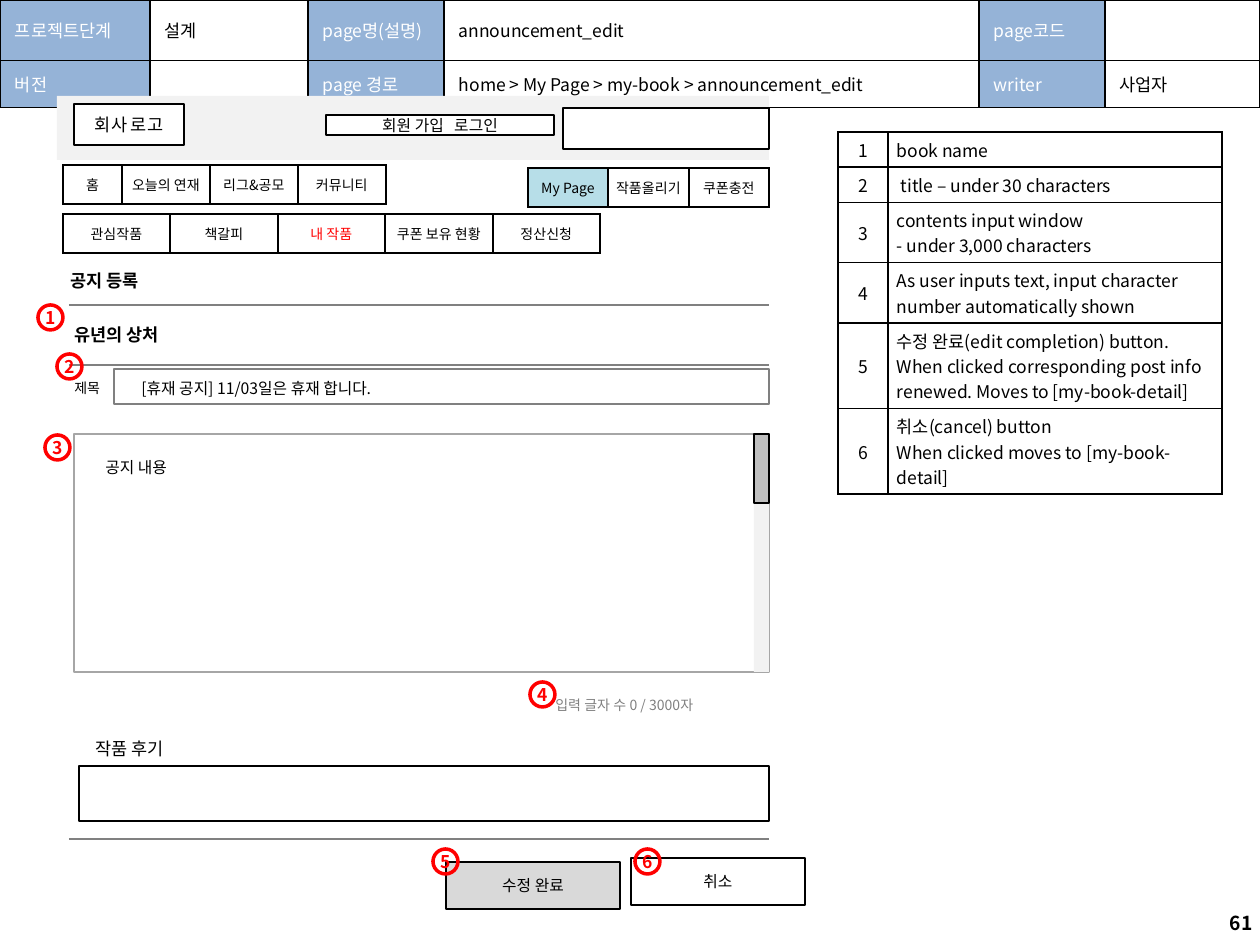
import lxml.etree
import pptx
import pptx.dml.color
import pptx.enum.shapes
import pptx.enum.text
import pptx.oxml.ns
import pptx.util

RGB = pptx.dml.color.RGBColor
SHAPE = pptx.enum.shapes.MSO_SHAPE
ALIGN = pptx.enum.text.PP_ALIGN
MIDDLE = pptx.enum.text.MSO_ANCHOR.MIDDLE
TOP = pptx.enum.text.MSO_ANCHOR.TOP
FIT = pptx.enum.text.MSO_AUTO_SIZE.SHAPE_TO_FIT_TEXT
qn = pptx.oxml.ns.qn

BLACK = RGB(0x00, 0x00, 0x00)
WHITE = RGB(0xFF, 0xFF, 0xFF)
RED = RGB(0xFF, 0x00, 0x00)
HEADER_BLUE = RGB(0x95, 0xB3, 0xD7)
ACTIVE_TEAL = RGB(0xB7, 0xDE, 0xE8)
PALE_GRAY = RGB(0xF2, 0xF2, 0xF2)
BUTTON_GRAY = RGB(0xD9, 0xD9, 0xD9)
THUMB_GRAY = RGB(0xBF, 0xBF, 0xBF)
FRAME_GRAY = RGB(0xA6, 0xA6, 0xA6)
RULE_GRAY = RGB(0x80, 0x80, 0x80)

FONT = "Noto Sans CJK KR"
SCALE = 914400 / 126


def px(length):
    return pptx.util.Emu(round(length * SCALE))


def add_run(paragraph, text, size, color=BLACK, bold=False):
    run = paragraph.add_run()
    run.text = text
    run.font.size = pptx.util.Pt(size)
    run.font.name = FONT
    run.font.bold = bold
    run.font.color.rgb = color
    east_asian = lxml.etree.SubElement(run.font._element, qn("a:ea"))
    east_asian.set("typeface", FONT)
    return run


def write(frame, text, size, color=BLACK, bold=False, align=ALIGN.LEFT, spacing=None):
    for index, line in enumerate(text.split("\n")):
        paragraph = frame.add_paragraph() if index else frame.paragraphs[0]
        paragraph.alignment = align
        if spacing:
            paragraph.line_spacing = spacing
        if line:
            add_run(paragraph, line, size, color, bold)
        else:
            end = lxml.etree.SubElement(paragraph._p, qn("a:endParaRPr"))
            end.set("sz", str(size * 100))


def add_box(slide, left, top, width, height, fill=None, line=BLACK, weight=1,
            preset=SHAPE.RECTANGLE):
    box = slide.shapes.add_shape(preset, px(left), px(top), px(width), px(height))
    box.shadow.inherit = False
    if fill is None:
        box.fill.background()
    else:
        box.fill.solid()
        box.fill.fore_color.rgb = fill
    if line is None:
        box.line.fill.background()
    else:
        box.line.color.rgb = line
        box.line.width = pptx.util.Pt(weight)
    box.text_frame.vertical_anchor = MIDDLE
    return box


def add_label(slide, left, top, width, height, text, size, color=BLACK, bold=False,
              align=ALIGN.LEFT, spacing=None, wrap=True, margins=None):
    frame = slide.shapes.add_textbox(px(left), px(top), px(width), px(height)).text_frame
    frame.word_wrap = wrap
    frame.vertical_anchor = TOP if spacing else MIDDLE
    if spacing:
        frame.auto_size = FIT
    if margins:
        frame.margin_left = frame.margin_right = px(margins[0])
        frame.margin_top = frame.margin_bottom = px(margins[1])
    write(frame, text, size, color, bold, align, spacing)


def add_rule(slide, left, top, width):
    rule = slide.shapes.add_connector(
        pptx.enum.shapes.MSO_CONNECTOR.STRAIGHT, px(left), px(top), px(left + width), px(top))
    rule.line.color.rgb = RULE_GRAY
    rule.line.width = pptx.util.Pt(1.5)
    lxml.etree.SubElement(rule._element.spPr, qn("a:effectLst"))


def add_marker(slide, left, top, number):
    frame = add_box(slide, left, top, 25, 25, None, RED, 2, SHAPE.OVAL).text_frame
    frame.margin_left = frame.margin_right = 0
    frame.margin_top = frame.margin_bottom = 0
    frame.word_wrap = False
    write(frame, str(number), 10, RED, True, ALIGN.CENTER)


def add_cell_borders(cell):
    properties = cell._tc.get_or_add_tcPr()
    for side in ("a:lnL", "a:lnR", "a:lnT", "a:lnB"):
        border = lxml.etree.SubElement(properties, qn(side), w="12700")
        fill = lxml.etree.SubElement(border, qn("a:solidFill"))
        lxml.etree.SubElement(fill, qn("a:srgbClr"), val=str(BLACK))


def add_grid(slide, left, top, widths, heights, rows, size, margins, style):
    grid = slide.shapes.add_table(len(heights), len(widths), px(left), px(top),
                                  px(sum(widths)), px(sum(heights))).table
    grid.first_row = grid.horz_banding = False
    for column, width in zip(grid.columns, widths):
        column.width = px(width)
    for row, height in zip(grid.rows, heights):
        row.height = px(height)
    for r, texts in enumerate(rows):
        for c, text in enumerate(texts):
            cell = grid.cell(r, c)
            fill, color, align = style(c)
            add_cell_borders(cell)
            if fill is None:
                cell.fill.background()
            else:
                cell.fill.solid()
                cell.fill.fore_color.rgb = fill
            cell.vertical_anchor = MIDDLE
            cell.margin_left = cell.margin_right = px(margins[0])
            cell.margin_top = cell.margin_bottom = px(margins[1])
            write(cell.text_frame, text, size, color, align=align)


def page_header(slide, left, top):
    rows = [
        ["프로젝트단계", "설계", "page명(설명)", "announcement_edit", "page코드", ""],
        ["버전", "", "page 경로", "home > My Page > my-book > announcement_edit",
         "writer", "사업자"],
    ]
    add_grid(slide, left, top, [150, 158, 136, 535, 126, 155], [48, 47], rows, 10, (15, 5),
             lambda c: (None, BLACK, ALIGN.LEFT) if c % 2 else (HEADER_BLUE, WHITE, ALIGN.LEFT))


def notes(slide, left, top):
    descriptions = [
        "book name",
        " title – under 30 characters",
        "contents input window\n- under 3,000 characters",
        "As user inputs text, input character number automatically shown",
        "수정 완료(edit completion) button.\n"
        "When clicked corresponding post info renewed. Moves to [my-book-detail]",
        "취소(cancel) button\nWhen clicked moves to [my-book-detail]",
    ]
    rows = [[str(number), text] for number, text in enumerate(descriptions, 1)]
    add_grid(slide, left, top, [50, 334], [34] * len(rows), rows, 10, (9, 5),
             lambda c: (None, BLACK, ALIGN.LEFT if c else ALIGN.CENTER))


def site_header(slide, left, top, width, height):
    add_box(slide, left, top, width, height, PALE_GRAY, None)
    logo = add_box(slide, left + 17, top + 8, 110, 41, WHITE)
    write(logo.text_frame, "회사 로고", 10, align=ALIGN.CENTER)
    account = add_box(slide, left + 269, top + 19, 228, 20, WHITE).text_frame.paragraphs[0]
    account.alignment = ALIGN.CENTER
    add_run(account, "회원 가입", 9)
    gap = add_run(account, " ", 9)
    gap.font._element.set("spc", "400")
    add_run(account, "로그인", 9)
    add_box(slide, left + 506, top + 12, 206, 41, WHITE)


def menu(slide, left, top, widths, names, active=None, fill=WHITE, color=BLACK):
    add_grid(slide, left, top, widths, [39], [names], 8, (5, 6),
             lambda c: (fill, color, ALIGN.CENTER) if c == active
             else (WHITE, BLACK, ALIGN.CENTER))


def notice_form(slide, left, top, width):
    for rule_top in (39, 99, 573):
        add_rule(slide, left, top + rule_top, width)
    for text, x, y in (("공지 등록", -9, 0), ("유년의 상처", -5, 54)):
        add_label(slide, left + x, top + y, 270, 29, text, 10, bold=True, margins=(10, 5))
    add_box(slide, left + 45, top + 103, 655, 35, None, RULE_GRAY)
    add_box(slide, left + 5, top + 168, 695, 238, WHITE, FRAME_GRAY)
    add_box(slide, left + 685, top + 168, 15, 238, PALE_GRAY, None)
    add_box(slide, left + 685, top + 168, 15, 69, THUMB_GRAY)
    for x, y, w, h, text, size in (
        (-7, 99, 52, 35, "제목", 8),
        (60, 97, 270, 42, "[휴재 공지] 11/03일은 휴재 합니다.", 9),
        (24, 176, 89, 38, "공지 내용", 9),
    ):
        add_label(slide, left + x, top + y, w, h, text, size, spacing=1.5, wrap=False)
    add_label(slide, left + 474, top + 416, 224, 35, "입력 글자 수 0 / 3000자", 8,
              RULE_GRAY, spacing=1.5)
    add_label(slide, left + 14, top + 465, 151, 35, "작품 후기", 10)
    add_box(slide, left + 10, top + 500, 690, 55)
    for number, (x, y) in enumerate([(-31, 39), (-12, 88), (-24, 169), (461, 416)], 1):
        add_marker(slide, left + x, top + y, number)


def form_buttons(slide, left, top):
    for x, y, fill, text in ((0, 4, BUTTON_GRAY, "수정 완료"), (185, 0, WHITE, "취소")):
        button = add_box(slide, left + x, top + y, 174, 47, fill)
        write(button.text_frame, text, 9, align=ALIGN.CENTER)
    add_marker(slide, left - 13, top - 9, 5)
    add_marker(slide, left + 189, top - 9, 6)


def main():
    deck = pptx.Presentation()
    deck.slide_width, deck.slide_height = px(1260), px(945)
    slide = deck.slides.add_slide(deck.slide_layouts[6])
    page_header(slide, 0, 0)
    notes(slide, 838, 132)
    site_header(slide, 57, 96, 712, 64)
    menu(slide, 63, 165, [59, 88, 88, 88], ["홈", "오늘의 연재", "리그&공모", "커뮤니티"])
    menu(slide, 528, 168, [80, 81, 80], ["My Page", "작품올리기", "쿠폰충전"], 0, ACTIVE_TEAL)
    menu(slide, 63, 214, [107, 108, 107, 108, 107],
         ["관심작품", "책갈피", "내 작품", "쿠폰 보유 현황", "정산신청"], 2, color=RED)
    notice_form(slide, 69, 266, 700)
    form_buttons(slide, 446, 858)
    add_label(slide, 971, 898, 294, 50, "61", 11, bold=True, align=ALIGN.RIGHT)
    deck.save("out.pptx")


if __name__ == "__main__":
    main()
